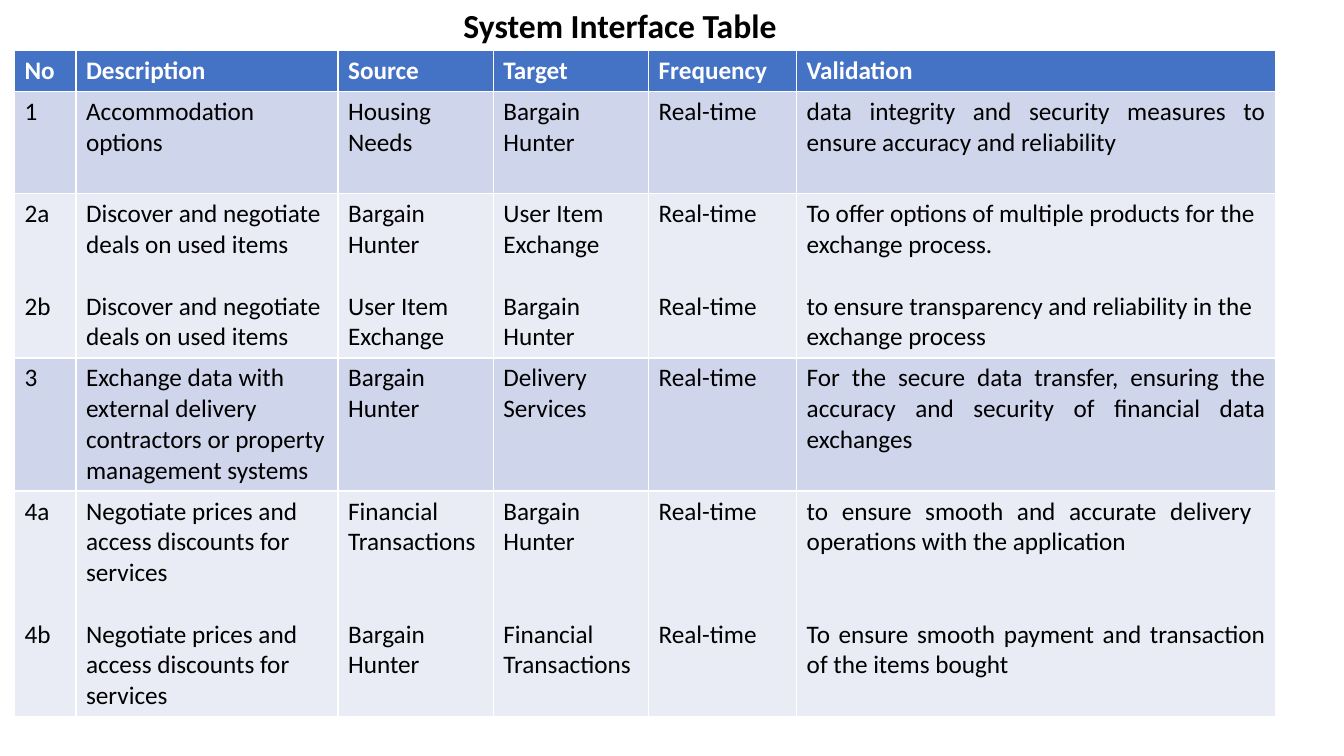
from pptx import Presentation
from pptx.dml.color import RGBColor
from pptx.enum.text import PP_ALIGN
from pptx.util import Pt

LEFT, JUSTIFY = PP_ALIGN.LEFT, PP_ALIGN.JUSTIFY
BLACK = RGBColor(0x00, 0x00, 0x00)
WHITE = RGBColor(0xFF, 0xFF, 0xFF)
HEADER_BLUE = RGBColor(0x44, 0x72, 0xC4)
BANDS = RGBColor(0xCF, 0xD5, 0xEA), RGBColor(0xE9, 0xEB, 0xF5)
FONT = "Calibri"
LINE = 22

COL_WIDTHS = [43.9, 187.2, 110.9, 110.9, 105.8, 342]
ROW_HEIGHTS = [29.5, 73, 117.2, 95, 161]
HEADER = ["No", "Description", "Source", "Target", "Frequency", "Validation"]

DEALS = "Discover and negotiate deals on used items"
PRICES = "Negotiate prices and access discounts for services"
HUNTER = "Bargain Hunter"
EXCHANGE = "User Item Exchange"
PAYMENTS = "Financial\nTransactions"
LIVE = "Real-time"

# MARK
INTERFACES = [
    ["1", "Accommodation options", "Housing Needs", HUNTER, LIVE,
     "data integrity and security measures to ensure accuracy and reliability"],
    [("2a", 2, "2b"), (DEALS, 1, DEALS), (HUNTER, 1, EXCHANGE), (EXCHANGE, 1, HUNTER),
     (LIVE, 2, LIVE),
     ("To offer options of multiple products for the exchange process.", 1,
      "to ensure transparency and reliability in the exchange process")],
    ["3", "Exchange data with external delivery contractors or property management systems",
     HUNTER, "Delivery Services", LIVE,
     "For the secure data transfer, ensuring the accuracy and security of financial data "
     "exchanges"],
    [("4a", 3, "4b"), (PRICES, 1, PRICES), (PAYMENTS, 2, HUNTER), (HUNTER, 2, PAYMENTS),
     (LIVE, 3, LIVE),
     ("to ensure smooth and accurate delivery  operations with the application", 2,
      "To ensure smooth payment and transaction of the items bought")],
]
JUSTIFIED_ROWS = {1, 3, 4}


def write(p, text, size=18, color=BLACK, bold=False, align=LEFT, before=0):
    p.alignment = align
    p.space_before = Pt(before)
    r = p.add_run()
    r.text = text
    r.font.name = FONT
    r.font.size = Pt(size)
    r.font.bold = bold
    r.font.color.rgb = color


def fill_cell(cell, content, fill, **fmt):
    cell.fill.solid()
    cell.fill.fore_color.rgb = fill
    first, gap, second = content if isinstance(content, tuple) else (content, 0, "")
    lines = [(text, 0) for text in first.split("\n")]
    if second:
        lines += [(text, 0 if i else gap * LINE) for i, text in enumerate(second.split("\n"))]
    tf = cell.text_frame
    for i, (text, before) in enumerate(lines):
        p = tf.add_paragraph() if i else tf.paragraphs[0]
        write(p, text, before=before, **fmt)


def add_title(s, x, y, w, h):
    tf = s.shapes.add_textbox(Pt(x), Pt(y), Pt(w), Pt(h)).text_frame
    tf.word_wrap = False
    write(tf.paragraphs[0], "System Interface Table", size=24, bold=True)


def add_interface_table(s, x, y, w, h):
    rows = [HEADER] + INTERFACES
    table = s.shapes.add_table(len(rows), len(HEADER), Pt(x), Pt(y), Pt(w), Pt(h)).table
    for col, width in zip(table.columns, COL_WIDTHS):
        col.width = Pt(width)
    for row, height in zip(table.rows, ROW_HEIGHTS):
        row.height = Pt(height)
    for i, row in enumerate(rows):
        for j, content in enumerate(row):
            if i == 0:
                fill_cell(table.cell(i, j), content, HEADER_BLUE, color=WHITE, bold=True)
            else:
                justified = j == len(HEADER) - 1 and i in JUSTIFIED_ROWS
                fill_cell(table.cell(i, j), content, BANDS[(i - 1) % 2],
                          align=JUSTIFY if justified else LEFT)


def main():
    prs = Presentation()
    prs.slide_width, prs.slide_height = Pt(960), Pt(540)
    s = prs.slides.add_slide(prs.slide_layouts[6])
    add_interface_table(s, 10.4, 36, sum(COL_WIDTHS), sum(ROW_HEIGHTS))
    add_title(s, 324, 0, 240.5, 36)
    prs.save("out.pptx")


if __name__ == "__main__":
    main()
